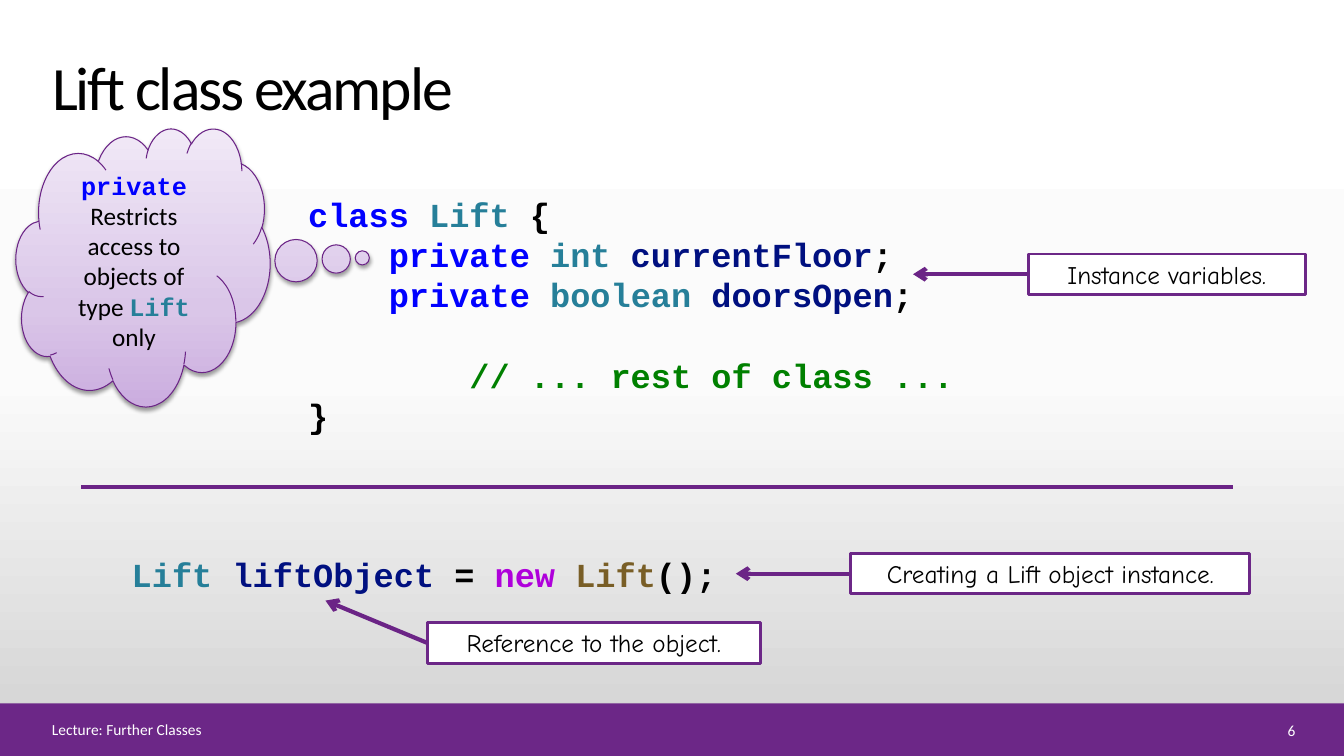
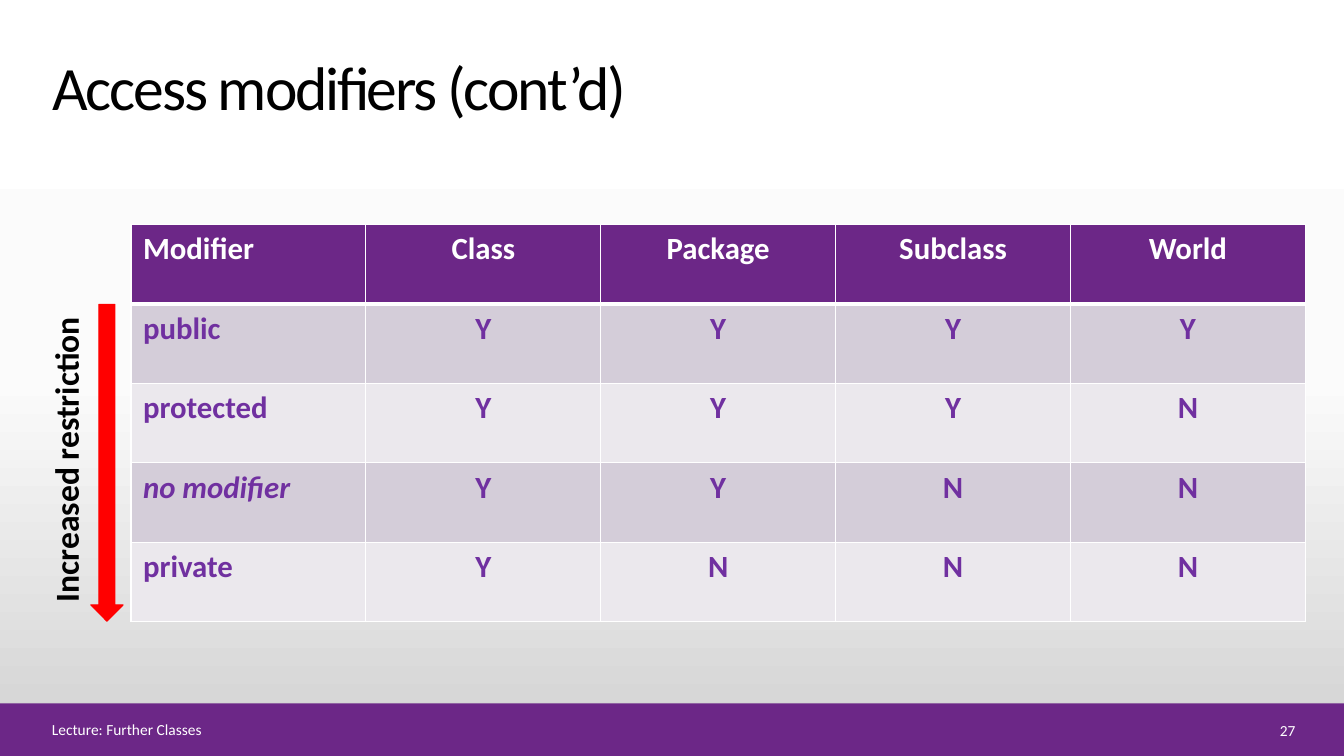
from dataclasses import dataclass
from lxml import etree
from pptx import Presentation
from pptx import util as u
from pptx.dml.color import RGBColor
from pptx.enum import shapes, text
from pptx.oxml import ns

COLUMNS, ROWS = 32, 18
WIDTH, HEIGHT = u.Inches(13.333), u.Inches(7.5)
LEFT, CENTER, RIGHT = text.PP_ALIGN.LEFT, text.PP_ALIGN.CENTER, text.PP_ALIGN.RIGHT
TOP, MIDDLE, BOTTOM = text.MSO_ANCHOR.TOP, text.MSO_ANCHOR.MIDDLE, text.MSO_ANCHOR.BOTTOM


@dataclass(frozen=True)
class Theme:
    purple: str = "6C2787"
    line: str = "6B2486"
    body: str = "7030A0"
    dark_row: str = "D4CDD9"
    light_row: str = "EBE8ED"
    white: str = "FFFFFF"
    black: str = "000000"
    red: str = "FF0000"
    keyword: str = "0000FF"
    type_name: str = "267F99"
    variable: str = "001080"
    operator: str = "AF00DB"
    function: str = "795E26"
    comment: str = "008000"
    background: tuple = ((0, "FFFFFF"), (50, "FBFBFB"), (100, "D1D1D1"))
    cloud: tuple = ((0, "CBADDF"), (35, "DAC6E8"), (100, "F1E9F7"))
    sans: str = "Calibri"
    note: str = "Comic Neue"
    mono: str = "Courier New"
    title_size: float = 44
    code_size: float = 24
    table_size: float = 22
    note_size: float = 18
    footer_size: float = 11


THEME = Theme()


def column(count):
    return int(WIDTH * count / COLUMNS)


def row(count):
    return int(HEIGHT * count / ROWS)


def box(left, top, width, height):
    return column(left), row(top), column(width), row(height)


def rgb(color):
    return RGBColor.from_string(color)


def add_xml(parent, tag, **attributes):
    element = etree.SubElement(parent, ns.qn(tag))
    for name, value in attributes.items():
        element.set(name, str(value))
    return element


def format_run(run, size, color, font=THEME.sans, bold=False, italic=False):
    run.font.size = u.Pt(size)
    run.font.color.rgb = rgb(color)
    run.font.name = font
    run.font.bold = bold
    run.font.italic = italic


def write(frame, words, size, color, align=LEFT, anchor=TOP, **style):
    frame.text = words
    frame.word_wrap = True
    frame.vertical_anchor = anchor
    paragraph = frame.paragraphs[0]
    paragraph.alignment = align
    format_run(paragraph.runs[0], size, color, **style)


def write_runs(paragraph, pieces, size):
    for words, color, font in pieces:
        run = paragraph.add_run()
        run.text = words
        format_run(run, size, color, font, bold=font == THEME.mono)


def set_gradient(fill, element, stops, angle):
    fill.gradient()
    gradient = element.find(".//" + ns.qn("a:gradFill"))
    stop_list = gradient.find(ns.qn("a:gsLst"))
    for stop in list(stop_list):
        stop_list.remove(stop)
    for position, color in stops:
        stop = add_xml(stop_list, "a:gs", pos=position * 1000)
        add_xml(stop, "a:srgbClr", val=color)
    gradient.find(ns.qn("a:lin")).set("ang", str(angle * 60000))


def add_shape(slide, kind, place, fill, line=None, width=0.75):
    shape = slide.shapes.add_shape(kind, *place)
    shape.shadow.inherit = False
    shape.fill.solid()
    shape.fill.fore_color.rgb = rgb(fill)
    if line:
        shape.line.color.rgb = rgb(line)
        shape.line.width = u.Pt(width)
    else:
        shape.line.fill.background()
    return shape


def add_text(slide, place, words, size, color, **style):
    shape = slide.shapes.add_textbox(*place)
    write(shape.text_frame, words, size, color, **style)
    return shape


def add_line(slide, start, end, arrow=False):
    line = slide.shapes.add_connector(
        shapes.MSO_CONNECTOR.STRAIGHT,
        column(start[0]), row(start[1]), column(end[0]), row(end[1]))
    line.line.color.rgb = rgb(THEME.line)
    line.line.width = u.Pt(3)
    properties = line._element.spPr
    if arrow:
        add_xml(properties.find(ns.qn("a:ln")), "a:tailEnd", type="arrow")
    add_xml(properties, "a:effectLst")
    return line


def add_callout(slide, words, left, top, width, tip):
    height = 0.96
    arrow = add_line(slide, (left, top + height / 2), tip, arrow=True)
    label = add_shape(slide, shapes.MSO_SHAPE.RECTANGLE, box(left, top, width, height),
                      THEME.white, THEME.purple, 2)
    write(label.text_frame, words, THEME.note_size, THEME.black, CENTER, font=THEME.note)
    arrow.begin_connect(label, 1)


def add_code(slide, place, lines):
    frame = slide.shapes.add_textbox(*place).text_frame
    frame.word_wrap = True
    line_height = u.Pt(THEME.code_size * 1.2)
    character = u.Pt(THEME.code_size * 0.6)
    for index, (indent, blank_lines, pieces) in enumerate(lines):
        paragraph = frame.add_paragraph() if index else frame.paragraphs[0]
        paragraph.line_spacing = line_height
        paragraph.space_before = line_height * blank_lines
        paragraph._p.get_or_add_pPr().set("marL", str(character * indent))
        write_runs(paragraph, [(*piece, THEME.mono) for piece in pieces], THEME.code_size)


def add_cloud(slide, place, paragraphs):
    cloud = add_shape(slide, shapes.MSO_SHAPE.CLOUD_CALLOUT, place, THEME.white, THEME.line)
    cloud.adjustments[0], cloud.adjustments[1] = 0.863, -0.033
    properties = cloud._element.spPr
    set_gradient(cloud.fill, properties, THEME.cloud, 270)
    shadow = add_xml(properties.find(ns.qn("a:effectLst")), "a:outerShdw", blurRad=u.Pt(3.1),
                     dist=u.Pt(1.6), dir=90 * 60000, rotWithShape=0)
    add_xml(add_xml(shadow, "a:srgbClr", val=THEME.black), "a:alpha", val=38000)
    frame = cloud.text_frame
    frame.word_wrap = True
    frame.vertical_anchor = MIDDLE
    for index, pieces in enumerate(paragraphs):
        paragraph = frame.add_paragraph() if index else frame.paragraphs[0]
        paragraph.alignment = CENTER
        write_runs(paragraph, pieces, THEME.note_size)


def set_borders(cell, bottom):
    properties = cell._tc.get_or_add_tcPr()
    widths = {"a:lnL": 1, "a:lnR": 1, "a:lnT": 1, "a:lnB": bottom}
    for index, (tag, width) in enumerate(widths.items()):
        border = add_xml(properties, tag, w=u.Pt(width))
        add_xml(add_xml(border, "a:solidFill"), "a:srgbClr", val=THEME.white)
        properties.insert(index, border)


def add_modifier_table(slide, place, rows):
    table = slide.shapes.add_table(len(rows), len(rows[0]), *place).table
    for row_index, values in enumerate(rows):
        header = row_index == 0
        fill = THEME.purple if header else (THEME.light_row, THEME.dark_row)[row_index % 2]
        for column_index, value in enumerate(values):
            cell = table.cell(row_index, column_index)
            cell.fill.solid()
            cell.fill.fore_color.rgb = rgb(fill)
            cell.margin_left = cell.margin_right = u.Inches(0.12)
            cell.margin_top = cell.margin_bottom = u.Inches(0.06)
            write(cell.text_frame, value, THEME.table_size,
                  THEME.white if header else THEME.body,
                  CENTER if column_index else LEFT,
                  bold=True, italic=value == "no modifier")
            set_borders(cell, 3 if header else 1)


def add_slide(presentation, title, number):
    slide = presentation.slides.add_slide(presentation.slide_layouts[5])
    add_shape(slide, shapes.MSO_SHAPE.RECTANGLE, box(0, 16.75, COLUMNS, 1.25), THEME.purple)
    heading = slide.shapes.title
    heading.left, heading.top, heading.width, heading.height = box(1, 0.96, 25, 2.09)
    write(heading.text_frame, title, THEME.title_size, THEME.black, anchor=BOTTOM)
    heading.text_frame.paragraphs[0].runs[0]._r.get_or_add_rPr().set("spc", "-150")
    add_text(slide, box(1, 17.09, 28, 0.55), "Lecture: Further Classes",
             THEME.footer_size, THEME.white, anchor=MIDDLE)
    add_text(slide, box(29.76, 17.11, 1.32, 0.58), str(number),
             THEME.footer_size, THEME.white, align=RIGHT, anchor=MIDDLE)
    return slide


def build_lift_slide(presentation):
    slide = add_slide(presentation, "Lift class example", 6)
    add_callout(slide, "Instance variables.", 24.48, 6.05, 6.6, (21.74, 6.53))
    add_code(slide, box(7.1, 4.49, 16, 6.05), [
        (0, 0, [("class ", THEME.keyword), ("Lift", THEME.type_name), (" {", THEME.black)]),
        (4, 0, [("private ", THEME.keyword), ("int ", THEME.type_name),
                ("currentFloor", THEME.variable), (";", THEME.black)]),
        (4, 0, [("private ", THEME.keyword), ("boolean ", THEME.type_name),
                ("doorsOpen", THEME.variable), (";", THEME.black)]),
        (8, 1, [("// ... rest of class ...", THEME.comment)]),
        (0, 0, [("}", THEME.black)]),
    ])
    add_line(slide, (1.94, 11.59), (29.35, 11.59))
    add_code(slide, box(2.9, 13.08, 16, 1.2), [
        (0, 0, [("Lift ", THEME.type_name), ("liftObject", THEME.variable),
                (" = ", THEME.black), ("new ", THEME.operator),
                ("Lift", THEME.function), ("();", THEME.black)]),
    ])
    add_callout(slide, "Creating a Lift object instance.", 20.26, 13.18, 9.5, (17.52, 13.66))
    add_callout(slide, "Reference to the object.", 10.18, 14.83, 7.92, (7.75, 14.3))
    add_cloud(slide, box(0.38, 3.05, 6.05, 6.62), [
        [("private", THEME.keyword, THEME.mono)],
        [("Restricts access to objects of type ", THEME.black, THEME.sans),
         ("Lift", THEME.type_name, THEME.mono), (" only", THEME.black, THEME.sans)],
    ])


def build_modifier_slide(presentation):
    slide = add_slide(presentation, "Access modifiers (cont’d)", 27)
    add_modifier_table(slide, box(3.12, 5.35, 27.96, 9.45), [
        ("Modifier", "Class", "Package", "Subclass", "World"),
        ("public", "Y", "Y", "Y", "Y"),
        ("protected", "Y", "Y", "Y", "N"),
        ("no modifier", "Y", "Y", "N", "N"),
        ("private", "Y", "N", "N", "N"),
    ])
    add_shape(slide, shapes.MSO_SHAPE.DOWN_ARROW, box(2.16, 7.25, 0.77, 7.54),
              THEME.red, THEME.red)
    caption = add_text(slide, box(0.96, 7.08, 1.46, 7.73), "Increased restriction",
                       THEME.code_size, THEME.black, align=CENTER, bold=True)
    caption.text_frame._txBody.bodyPr.set("vert", "vert270")


def main():
    presentation = Presentation()
    presentation.slide_width, presentation.slide_height = WIDTH, HEIGHT
    master = presentation.slide_master
    set_gradient(master.background.fill, master._element, THEME.background, 90)
    build_lift_slide(presentation)
    build_modifier_slide(presentation)
    presentation.save("out.pptx")


if __name__ == "__main__":
    main()
